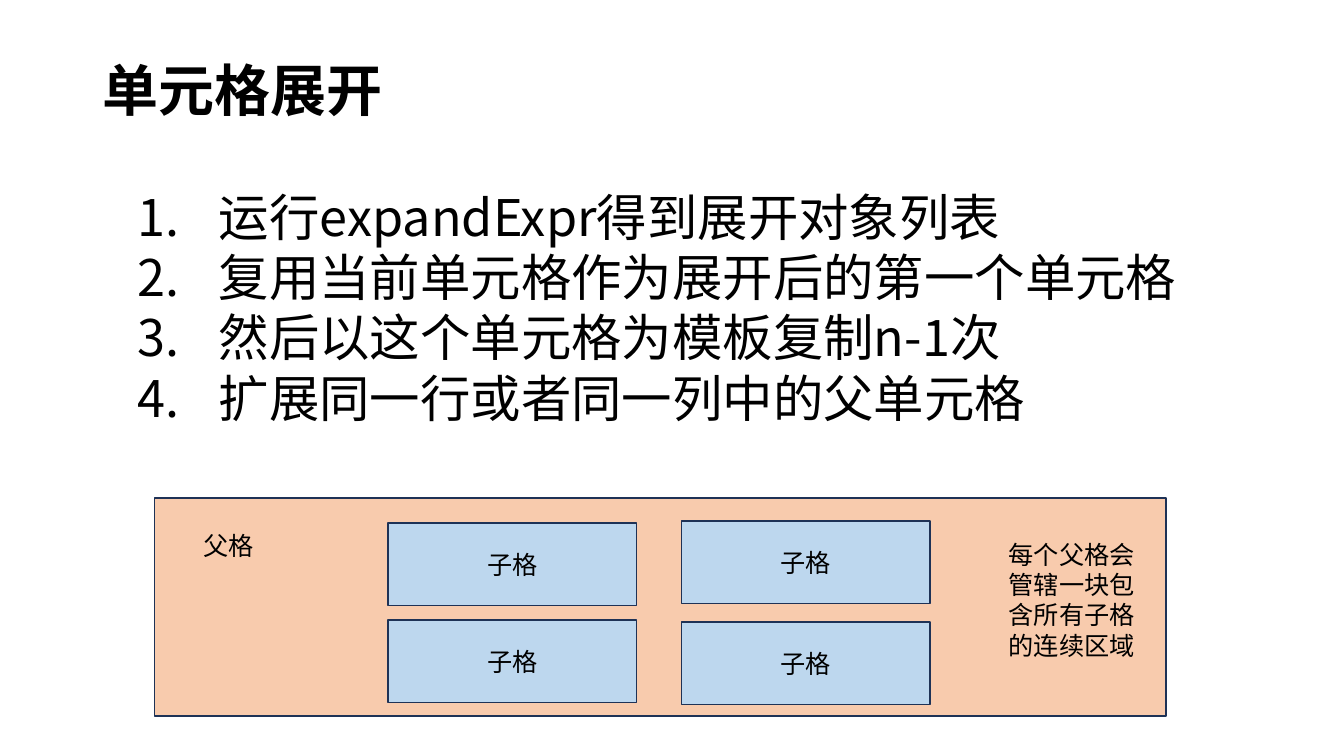
"""Build the slide on expanding cells."""
from lxml.etree import SubElement as Sub
from pptx import Presentation
from pptx.dml.color import RGBColor as Rgb
from pptx.enum.shapes import MSO_SHAPE as Kind
from pptx.enum.text import MSO_ANCHOR as Anchor, MSO_AUTO_SIZE as Fit, PP_ALIGN as Align
from pptx.oxml.ns import qn
from pptx.util import Cm, Pt

FONT = "Noto Sans CJK SC"
INK = {"text": "000000", "line": "1E3256", "parent": "F8CBAD", "child": "BDD7EE"}
STEPS = [
    "运行expandExpr得到展开对象列表",
    "复用当前单元格作为展开后的第一个单元格",
    "然后以这个单元格为模板复制n-1次",
    "扩展同一行或者同一列中的父单元格",
]
COLS = [(9.78, 13.18, 2.44), (17.17, 13.13, 2.54)]


def tone(name):
    """Return the named colour."""
    return Rgb.from_string(INK[name])


def write(shape, *lines, size=18, bold=False, align=Align.LEFT,
          anchor=Anchor.TOP, lead=1.0, hang=None):
    """Fill a shape with formatted lines, numbered when hang is given."""
    frame = shape.text_frame
    frame.word_wrap = True
    frame.auto_size = Fit.NONE
    frame.vertical_anchor = anchor
    frame.text = "\n".join(lines)
    for para in frame.paragraphs:
        para.alignment = align
        para.line_spacing = lead
        para.space_before = Pt(0)
        run = para.runs[0]
        run.font.size = Pt(size)
        run.font.bold = bold
        run.font.color.rgb = tone("text")
        run.font.name = FONT
        Sub(run._r.get_or_add_rPr(), qn("a:ea"), typeface=FONT)
        if hang:
            number(para, hang)


def number(para, hang):
    """Give a paragraph a hanging number."""
    props = para._p.get_or_add_pPr()
    props.set("marL", str(hang))
    props.set("indent", str(-hang))
    Sub(props, qn("a:buFont"), typeface=FONT)
    Sub(props, qn("a:buAutoNum"), type="arabicPeriod")


def place(shape, *spot):
    """Move and size a placeholder."""
    shape.left, shape.top, shape.width, shape.height = map(Cm, spot)
    return shape


def rect(slide, fill, *spot):
    """Add an outlined rectangle."""
    shape = slide.shapes.add_shape(Kind.RECTANGLE, *map(Cm, spot))
    shape.shadow.inherit = False
    shape.fill.solid()
    shape.fill.fore_color.rgb = tone(fill)
    shape.line.color.rgb = tone("line")
    shape.line.width = Pt(1)
    return shape


def label(slide, text, *spot):
    """Add a text box."""
    write(slide.shapes.add_textbox(*map(Cm, spot)), text)


def main():
    """Build and save the slide."""
    deck = Presentation()
    deck.slide_width, deck.slide_height = Cm(33.87), Cm(19.05)
    slide = deck.slides.add_slide(deck.slide_layouts[1])
    title, body = slide.placeholders
    write(place(title, 2.34, 1.02, 27.08, 2.67), "单元格展开",
          size=40, bold=True, anchor=Anchor.MIDDLE, lead=0.9)
    write(place(body, 3.2, 4.55, 27.46, 7.95), *STEPS, size=36, hang=Cm(2.06))

    rect(slide, "parent", 3.89, 12.55, 25.5, 5.49)
    label(slide, "父格", 4.88, 13.23, 2.57, 1.02)
    for left, top, pitch in COLS:
        for row in range(2):
            cell = rect(slide, "child", left, top + row * pitch, 6.27, 2.08)
            write(cell, "子格", align=Align.CENTER, anchor=Anchor.MIDDLE)
    label(slide, "每个父格会管辖一块包含所有子格的连续区域", 25.17, 13.46, 3.81, 3.33)
    deck.save("out.pptx")


if __name__ == "__main__":
    main()
